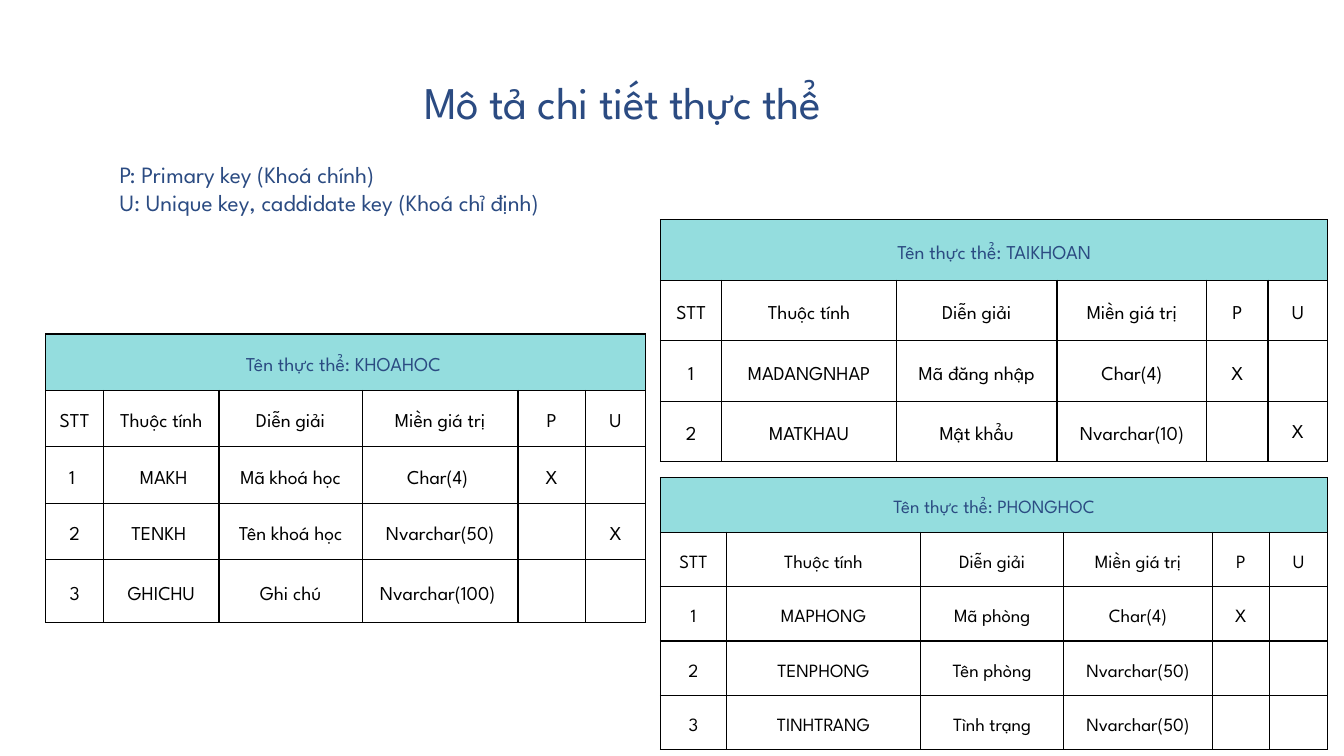
from dataclasses import dataclass

from lxml.etree import SubElement as Sub
from pptx import Presentation
from pptx.dml.color import RGBColor
from pptx.enum.text import MSO_ANCHOR, PP_ALIGN
from pptx.oxml.ns import qn
from pptx.util import Inches, Pt

FONT = "League Spartan"
NAVY = RGBColor(0x2B, 0x4B, 0x82)
BLACK = RGBColor(0, 0, 0)
AQUA = RGBColor(0x94, 0xDD, 0xDE)
HEADS = ("STT", "Thuộc tính", "Diễn giải", "Miền giá trị", "P", "U")


@dataclass
class Entity:
    title: str
    left: float
    top: float
    cols: tuple[float, ...]
    tall: tuple[float, ...]
    inset: float
    size: float
    lead: float
    rows: tuple[tuple[str, ...], ...]


@dataclass
class Label:
    box: tuple[float, float, float, float]
    size: float
    lead: float
    lines: tuple[str, ...]
    track: int = 0


ENTITIES = (
    Entity("Tên thực thể: KHOAHOC ", 0.68, 4.97,
           (0.86, 1.72, 2.13, 2.32, 1, 0.9), (0.84,) * 4 + (0.93,),
           0.15, 21, 29.4, (
               ("1 ", " MAKH", "Mã khoá học", "Char(4) ", "X", ""),
               ("2", "TENKH ", "Tên khoá học", "Nvarchar(50)", "", "X"),
               ("3", "GHICHU", "Ghi chú", "Nvarchar(100) ", "", ""))),
    Entity("Tên thực thể: TAIKHOAN", 9.83, 3.27,
           (0.91, 2.6, 2.39, 2.23, 0.91, 0.89), (0.9,) * 4,
           0.18, 21, 29.4, (
               ("1", "MADANGNHAP", "Mã đăng nhập", "Char(4)", "X", ""),
               ("2", "MATKHAU", "Mật khẩu", "Nvarchar(10)", "", "X"))),
    Entity("Tên thực thể: PHONGHOC", 9.83, 7.11,
           (0.98, 2.89, 2.13, 2.21, 0.85, 0.87), (0.81,) * 5,
           0.15, 20, 28, (
               ("1", "MAPHONG", "Mã phòng", "Char(4)", "X", ""),
               ("2", "TENPHONG", "Tên phòng", "Nvarchar(50)", "", ""),
               ("3", "TINHTRANG", "Tình trạng", "Nvarchar(50)", "", ""))),
)
LABELS = (
    Label((6.31, 1.15, 7.39, 0.78), 48.5, 55.3,
          ("Mô tả chi tiết thực thể",), -50),
    Label((1.78, 2.38, 7.51, 0.81), 25, 30,
          ("P: Primary key (Khoá chính)",
           "U: Unique key, caddidate key (Khoá chỉ định)")),
)


def apply(item, form: dict) -> None:
    for name, value in form.items():
        setattr(item, name, value)


def write(para, text: str, size: float, color: RGBColor, lead: float):
    para.line_spacing = Pt(lead)
    run = para.add_run()
    run.text = text
    apply(run.font, {"name": FONT, "size": Pt(size)})
    run.font.color.rgb = color
    return run


def edge(cell) -> None:
    """Draw a black line on all four sides of a cell."""
    props = cell._tc.get_or_add_tcPr()
    for side in "LRTB":
        line = Sub(props, qn(f"a:ln{side}"), w=str(Pt(1.5)))
        fill = Sub(line, qn("a:solidFill"))
        Sub(fill, qn("a:srgbClr"), val=str(BLACK))


def draw_table(slide, ent: Entity):
    grid = ((ent.title,) + ("",) * 5, HEADS) + ent.rows
    table = slide.shapes.add_table(
        len(grid), len(HEADS), Inches(ent.left), Inches(ent.top),
        Inches(sum(ent.cols)), Inches(sum(ent.tall))).table
    apply(table, {"first_row": False, "horz_banding": False})
    for col, wide in zip(table.columns, ent.cols):
        col.width = Inches(wide)
    pad = Inches(ent.inset)
    form = {"margin_left": pad, "margin_right": pad, "margin_top": pad,
            "margin_bottom": pad, "vertical_anchor": MSO_ANCHOR.MIDDLE}
    for r, texts in enumerate(grid):
        table.rows[r].height = Inches(ent.tall[r])
        for c, text in enumerate(texts):
            cell = table.cell(r, c)
            apply(cell, form)
            edge(cell)
            if r == 0:
                cell.fill.solid()
                cell.fill.fore_color.rgb = AQUA
            else:
                cell.fill.background()
            if text:
                para = cell.text_frame.paragraphs[0]
                para.alignment = PP_ALIGN.CENTER
                write(para, text, ent.size, BLACK if r else NAVY, ent.lead)
    table.cell(0, 0).merge(table.cell(0, len(HEADS) - 1))
    return table


def draw_label(slide, label: Label) -> None:
    frame = slide.shapes.add_textbox(*map(Inches, label.box)).text_frame
    apply(frame, {"word_wrap": True, "margin_left": 0, "margin_right": 0,
                  "margin_top": 0, "margin_bottom": 0})
    for i, line in enumerate(label.lines):
        para = frame.add_paragraph() if i else frame.paragraphs[0]
        run = write(para, line, label.size, NAVY, label.lead)
        if label.track:
            run._r.get_or_add_rPr().set("spc", str(label.track))


def main() -> None:
    deck = Presentation()
    apply(deck, {"slide_width": Inches(20), "slide_height": Inches(11.25)})
    slide = deck.slides.add_slide(deck.slide_layouts[6])
    course, login, room = [draw_table(slide, ent) for ent in ENTITIES]
    # The unique mark of the password row sits on a tighter line
    login.cell(3, 5).text_frame.paragraphs[0].line_spacing = Pt(24.8)
    for label in LABELS:
        draw_label(slide, label)
    deck.save("out.pptx")


if __name__ == "__main__":
    main()
